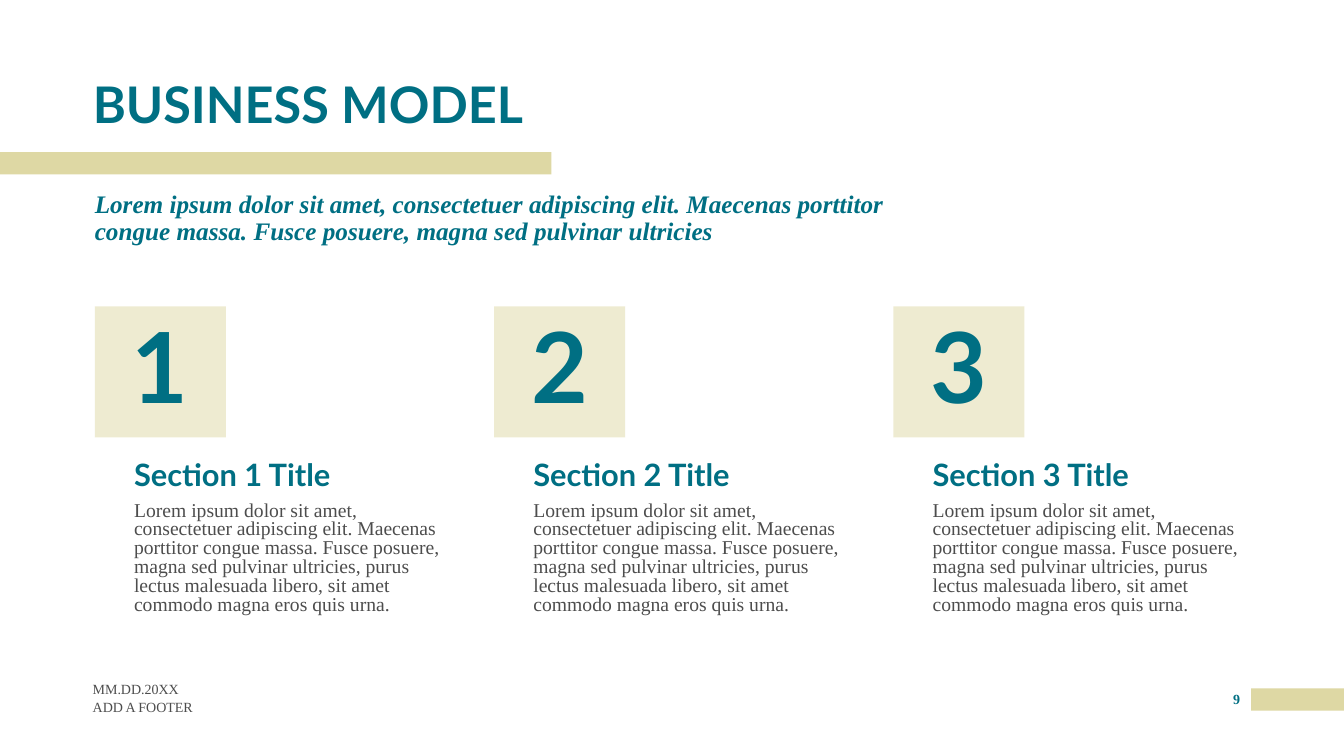
from lxml.etree import SubElement
from pptx import Presentation
from pptx.dml.color import RGBColor
from pptx.enum.shapes import MSO_SHAPE as Preset
from pptx.enum.text import MSO_ANCHOR as Anchor, MSO_AUTO_SIZE as AutoSize, PP_ALIGN as Align
from pptx.oxml.ns import qn
from pptx.util import Pt

PX = 9144  # EMU per px, 100 px to the inch
COLORS = {"teal": "006F83", "sand": "DED8A4", "gray": "4D4D4D"}
HEADING, BODY = "Lato", "Times New Roman"
LEAD = ("Lorem ipsum dolor sit amet, consectetuer adipiscing elit. "
        "Maecenas porttitor congue massa. Fusce posuere, magna sed pulvinar ultricies")
DETAIL = LEAD + ", purus lectus malesuada libero, sit amet commodo magna eros quis urna."
COLUMN_LEFT, COLUMN_PITCH, TEXT_INDENT = 94, 396, 39


def emu(*lengths):
    return [length * PX for length in lengths]


def color(name):
    return RGBColor.from_string(COLORS[name])


def write(shape, text, size, font=BODY, ink="teal", bold=False, italic=False,
          anchor=Anchor.TOP, align=Align.LEFT, spacing=1.0):
    frame = shape.text_frame
    frame.text = text
    frame.word_wrap = True
    frame.auto_size = AutoSize.NONE
    frame.vertical_anchor = anchor
    frame.margin_left = frame.margin_top = frame.margin_right = frame.margin_bottom = 0
    paragraph = frame.paragraphs[0]
    paragraph.alignment = align
    paragraph.line_spacing = spacing
    run_font = paragraph.runs[0].font
    run_font.name, run_font.size = font, Pt(size)
    run_font.bold, run_font.italic = bold, italic
    run_font.color.rgb = color(ink)


def add_text(slide, box, text, size, **style):
    write(slide.shapes.add_textbox(*emu(*box)), text, size, **style)


def add_block(slide, box, opacity=100):
    block = slide.shapes.add_shape(Preset.RECTANGLE, *emu(*box))
    block.shadow.inherit = False
    block.line.fill.background()
    block.fill.solid()
    block.fill.fore_color.rgb = color("sand")
    if opacity < 100:
        swatch = block.fill._xPr.find(qn("a:solidFill"))[0]
        SubElement(swatch, qn("a:alpha")).set("val", str(opacity * 1000))
    return block


def add_title(slide, text):
    title = slide.shapes.title
    title.left, title.top, title.width, title.height = emu(92, 68, 853, 65)
    write(title, text, 36, font=HEADING, bold=True, anchor=Anchor.BOTTOM, spacing=0.9)


def add_section(slide, number):
    left = COLUMN_LEFT + (number - 1) * COLUMN_PITCH
    tile = add_block(slide, (left, 304, 130, 130), opacity=50)
    write(tile, str(number), 70, font=HEADING, bold=True,
          anchor=Anchor.MIDDLE, align=Align.CENTER, spacing=0.9)
    text_left = left + TEXT_INDENT
    add_text(slide, (text_left, 438, 320, 51), f"Section {number} Title", 22,
             font=HEADING, bold=True, anchor=Anchor.BOTTOM, spacing=0.9)
    add_text(slide, (text_left, 498, 320, 124), DETAIL, 14, ink="gray", spacing=0.8)


def add_footer(slide):
    add_text(slide, (92, 667, 300, 25), "MM.DD.20XX", 10, ink="gray", anchor=Anchor.BOTTOM)
    add_text(slide, (92, 693, 300, 25), "ADD A FOOTER", 10, ink="gray")
    add_text(slide, (1212, 685, 29, 25), "9", 10, bold=True, align=Align.CENTER)


def main():
    deck = Presentation()
    deck.slide_width, deck.slide_height = emu(1333, 750)
    slide = deck.slides.add_slide(deck.slide_layouts.get_by_name("Title Only"))
    add_block(slide, (1241, 683, 92, 22))
    add_block(slide, (0, 151, 547, 22))
    add_title(slide, "BUSINESS MODEL")
    add_text(slide, (94, 190, 853, 103), LEAD, 18, bold=True, italic=True, spacing=0.9)
    for number in range(1, 4):
        add_section(slide, number)
    add_footer(slide)
    deck.save("out.pptx")


if __name__ == "__main__":
    main()
